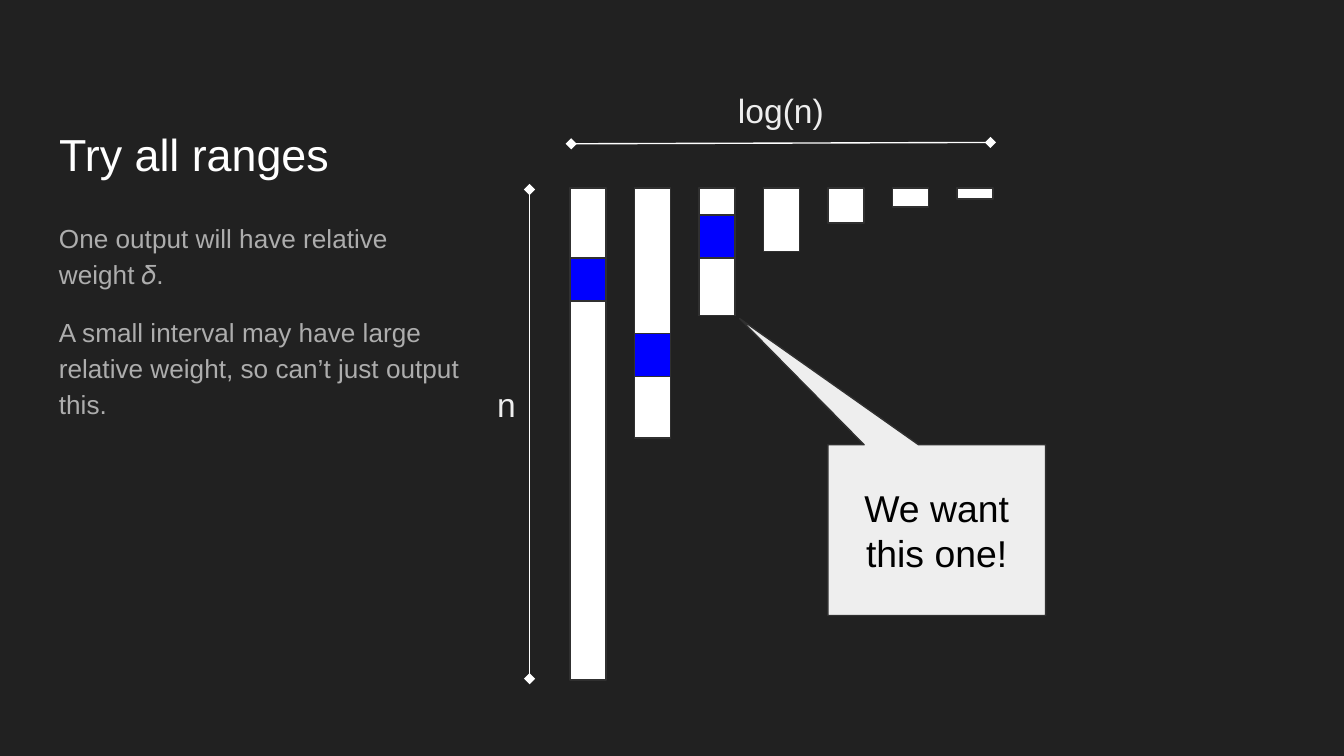
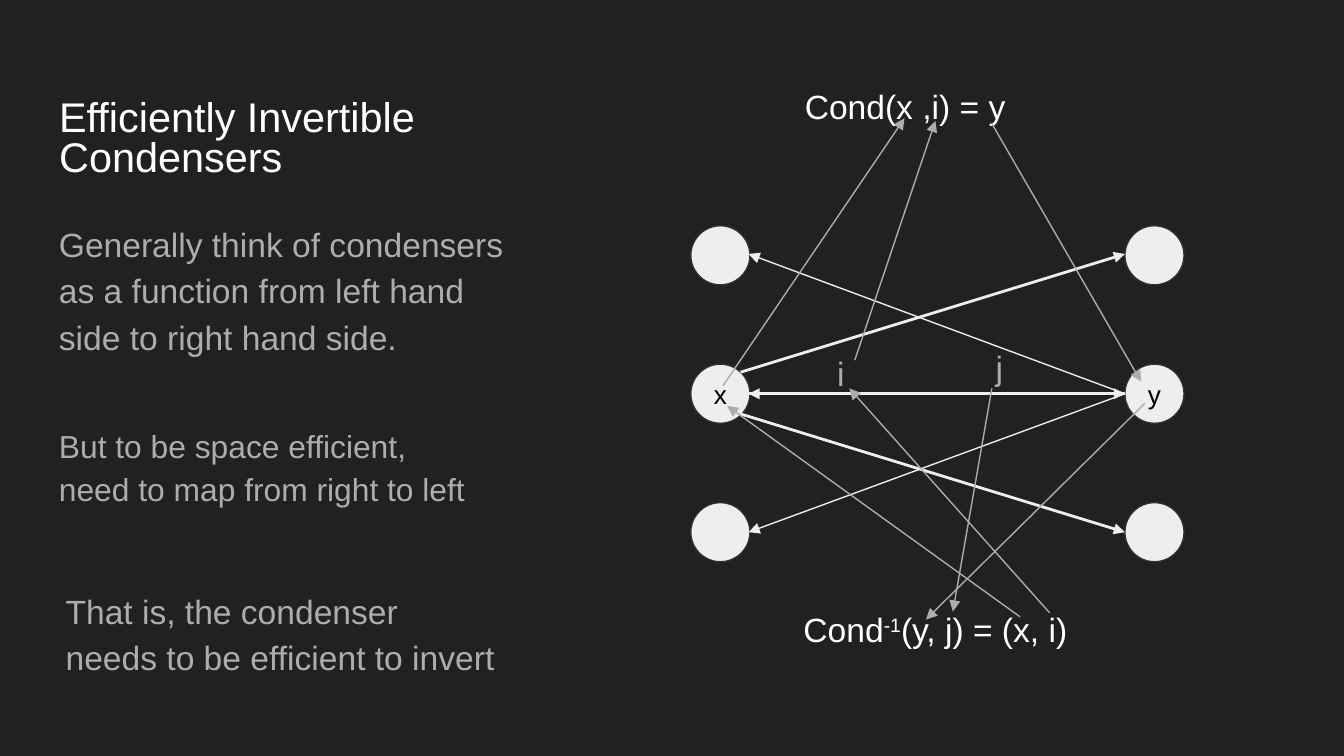
from typing import NamedTuple

from lxml import etree
from pptx import Presentation
from pptx.dml.color import RGBColor
from pptx.enum.shapes import MSO_CONNECTOR, MSO_SHAPE
from pptx.enum.text import MSO_ANCHOR, MSO_AUTO_SIZE, PP_ALIGN
from pptx.oxml.ns import qn
from pptx.util import Inches, Pt

BACKGROUND = RGBColor(0x21, 0x21, 0x21)
WHITE = RGBColor(0xFF, 0xFF, 0xFF)
PALE = RGBColor(0xEE, 0xEE, 0xEE)
GREY = RGBColor(0xAD, 0xAD, 0xAD)
OUTLINE = RGBColor(0x30, 0x30, 0x30)
BLUE = RGBColor(0x00, 0x00, 0xFF)
BLACK = RGBColor(0x00, 0x00, 0x00)

PAGE_WIDTH = Inches(10)
PAGE_HEIGHT = PAGE_WIDTH * 9 // 16
FONT = "Arial"
MARGIN = Inches(0.1)
TITLE_ONLY = 5
LEFT, CENTER = PP_ALIGN.LEFT, PP_ALIGN.CENTER
TOP, MIDDLE, BOTTOM = MSO_ANCHOR.TOP, MSO_ANCHOR.MIDDLE, MSO_ANCHOR.BOTTOM
NO_AUTOFIT = MSO_AUTO_SIZE.NONE
STRAIGHT = MSO_CONNECTOR.STRAIGHT
RECTANGLE, OVAL = MSO_SHAPE.RECTANGLE, MSO_SHAPE.OVAL
CALLOUT = MSO_SHAPE.RECTANGULAR_CALLOUT


class Area(NamedTuple):
    left: float
    top: float
    width: float
    height: float

    def lengths(self):
        return [Inches(value) for value in self]


class Bar(NamedTuple):
    height: float
    mark_top: float | None = None


class Label(NamedTuple):
    text: str
    area: Area
    color: RGBColor
    align: PP_ALIGN = LEFT
    superscript: str = ""


class Arrow(NamedTuple):
    start: tuple[float, float]
    end: tuple[float, float]
    color: RGBColor = GREY
    width: float = 0.75
    head: str = ""
    tail: str = "triangle"


TITLE_AREA = Area(0.34, 0.61, 3.07, 0.83)

BAR_LEFT, BAR_TOP, BAR_WIDTH, BAR_STEP = 4.24, 1.4, 0.27, 0.48
MARK_HEIGHT = 0.32
BARS = [Bar(3.66, 1.92), Bar(1.86, 2.48), Bar(0.95, 1.6),
        Bar(0.47), Bar(0.26), Bar(0.14), Bar(0.08)]
DIMENSIONS = [
    Arrow((4.25, 1.07), (7.37, 1.06), WHITE, head="diamond", tail="diamond"),
    Arrow((3.94, 1.41), (3.94, 5.05), WHITE, head="diamond", tail="diamond"),
]
DIMENSION_LABELS = [
    Label("log(n)", Area(4.25, 0.57, 3.12, 0.5), PALE, CENTER),
    Label("n", Area(3.6, 2.76, 0.34, 0.5), PALE),
]

NODE_SIZE, NODE_TOP, NODE_STEP = 0.44, 1.68, 1.03
NODE_COLUMNS = [(5.14, ["", "x", ""]), (8.37, ["", "y", ""])]
LEFT_EDGE, RIGHT_EDGE = 5.57, 8.37
UPPER, CENTRE, LOWER = 1.89, 2.93, 3.96
EDGES = [
    Arrow((LEFT_EDGE, CENTRE), (RIGHT_EDGE, CENTRE), PALE, 1.5),
    Arrow((5.51, 2.77), (RIGHT_EDGE, UPPER), PALE, 1.5),
    Arrow((5.51, 3.08), (RIGHT_EDGE, LOWER), PALE, 1.5),
    Arrow((RIGHT_EDGE, CENTRE), (LEFT_EDGE, CENTRE), PALE, 1.5),
    Arrow((RIGHT_EDGE, CENTRE), (LEFT_EDGE, LOWER), PALE),
    Arrow((RIGHT_EDGE, CENTRE), (LEFT_EDGE, UPPER), PALE),
]
FORMULA_LABELS = [
    Label("i", Area(6.13, 2.53, 0.3, 0.5), GREY),
    Label("j", Area(7.31, 2.48, 0.3, 0.5), GREY),
    Label("Cond(x ,i) = y", Area(5.89, 0.54, 1.86, 0.5), WHITE),
    Label("Cond-1(y, j) = (x, i)", Area(5.88, 4.43, 2.24, 0.5), WHITE,
          superscript="-1"),
]
FORMULA_ARROWS = [
    Arrow((5.38, 2.87), (6.73, 0.88)),
    Arrow((6.36, 2.68), (6.96, 0.9)),
    Arrow((7.38, 0.92), (8.49, 2.84)),
    Arrow((8.52, 3), (6.89, 4.61)),
    Arrow((7.38, 2.89), (7.09, 4.55)),
    Arrow((7.59, 4.59), (5.41, 3.02)),
    Arrow((7.81, 4.56), (6.32, 2.89)),
]


def write(box, *texts: str, size: float, color: RGBColor, align=LEFT,
          anchor=TOP, line_spacing: float = 1.0, gap: float = 0,
          superscript: str = "") -> None:
    """Fill a box with one paragraph per text, gap points apart."""
    frame = box.text_frame
    frame.word_wrap = True
    frame.auto_size = NO_AUTOFIT
    frame.vertical_anchor = anchor
    frame.margin_left = frame.margin_right = MARGIN
    frame.margin_top = frame.margin_bottom = MARGIN
    for index, text in enumerate(texts):
        para = frame.add_paragraph() if index else frame.paragraphs[0]
        para.alignment = align
        para.line_spacing = line_spacing
        para.space_before = Pt(gap if index else 0)
        para.space_after = Pt(0)
        parts = text.partition(superscript) if superscript else [text]
        for part in parts:
            span = para.add_run()
            span.text = part
            span.font.name = FONT
            span.font.size = Pt(size)
            span.font.color.rgb = color
            if superscript and part == superscript:
                span._r.get_or_add_rPr().set("baseline", "30000")


def add_page(deck, title: str, size: float, line_spacing: float = 1.0):
    page = deck.slides.add_slide(deck.slide_layouts[TITLE_ONLY])
    box = page.shapes.title
    box.left, box.top, box.width, box.height = TITLE_AREA.lengths()
    write(box, title, size=size, color=WHITE, anchor=BOTTOM,
          line_spacing=line_spacing)
    return page


def add_body(page, area: Area, *texts: str, size: float) -> None:
    box = page.shapes.add_textbox(*area.lengths())
    write(box, *texts, size=size, color=GREY, line_spacing=1.15, gap=12)


def add_label(page, label: Label) -> None:
    box = page.shapes.add_textbox(*label.area.lengths())
    write(box, label.text, size=18, color=label.color, align=label.align,
          superscript=label.superscript)


def add_outlined(page, kind: MSO_SHAPE, area: Area, fill: RGBColor):
    shape = page.shapes.add_shape(kind, *area.lengths())
    shape.shadow.inherit = False
    shape.fill.solid()
    shape.fill.fore_color.rgb = fill
    shape.line.color.rgb = OUTLINE
    shape.line.width = Pt(0.75)
    return shape


def add_arrow(page, arrow: Arrow) -> None:
    ends = [Inches(value) for value in arrow.start + arrow.end]
    connector = page.shapes.add_connector(STRAIGHT, *ends)
    connector.line.color.rgb = arrow.color
    connector.line.width = Pt(arrow.width)
    properties = connector._element.spPr
    line = properties.find(qn("a:ln"))
    for tag, kind in (("a:headEnd", arrow.head), ("a:tailEnd", arrow.tail)):
        if kind:
            etree.SubElement(line, qn(tag), type=kind)
    etree.SubElement(properties, qn("a:effectLst"))


def build_ranges(deck) -> None:
    page = add_page(deck, "Try all ranges", size=24)
    for index, bar in enumerate(BARS):
        left = BAR_LEFT + index * BAR_STEP
        add_outlined(page, RECTANGLE,
                     Area(left, BAR_TOP, BAR_WIDTH, bar.height), WHITE)
        if bar.mark_top is not None:
            add_outlined(page, RECTANGLE,
                         Area(left, bar.mark_top, BAR_WIDTH, MARK_HEIGHT), BLUE)
    add_body(page, Area(0.34, 1.52, 3.26, 1.86),
             "One output will have relative weight 𝛿.",
             "A small interval may have large relative weight, "
             "so can’t just output this.", size=14)
    for arrow in DIMENSIONS:
        add_arrow(page, arrow)
    for label in DIMENSION_LABELS:
        add_label(page, label)
    callout = add_outlined(page, CALLOUT, Area(6.16, 3.31, 1.62, 1.27), PALE)
    callout.adjustments[0] = -0.905
    callout.adjustments[1] = -1.239
    write(callout, "We want this one!", size=20, color=BLACK, align=CENTER,
          anchor=MIDDLE)


def build_condensers(deck) -> None:
    page = add_page(deck, "Efficiently Invertible Condensers", size=22.2,
                    line_spacing=0.8)
    add_body(page, Area(0.34, 1.52, 3.62, 1.14),
             "Generally think of condensers as a function from left hand side "
             "to right hand side.", size=18)
    add_body(page, Area(0.34, 3.03, 3.32, 0.99),
             "But to be space efficient, need to map from right to left",
             size=17)
    add_body(page, Area(0.39, 4.25, 3.4, 1.05),
             "That is, the condenser needs to be efficient to invert", size=18)
    for left, names in NODE_COLUMNS:
        for row, name in enumerate(names):
            area = Area(left, NODE_TOP + row * NODE_STEP, NODE_SIZE, NODE_SIZE)
            node = add_outlined(page, OVAL, area, PALE)
            if name:
                write(node, name, size=14, color=BLACK, align=CENTER,
                      anchor=MIDDLE)
    for arrow in EDGES:
        add_arrow(page, arrow)
    for label in FORMULA_LABELS:
        add_label(page, label)
    for arrow in FORMULA_ARROWS:
        add_arrow(page, arrow)


def main() -> None:
    deck = Presentation()
    deck.slide_width, deck.slide_height = PAGE_WIDTH, PAGE_HEIGHT
    background = deck.slide_master.background.fill
    background.solid()
    background.fore_color.rgb = BACKGROUND
    build_ranges(deck)
    build_condensers(deck)
    deck.save("out.pptx")


if __name__ == "__main__":
    main()
